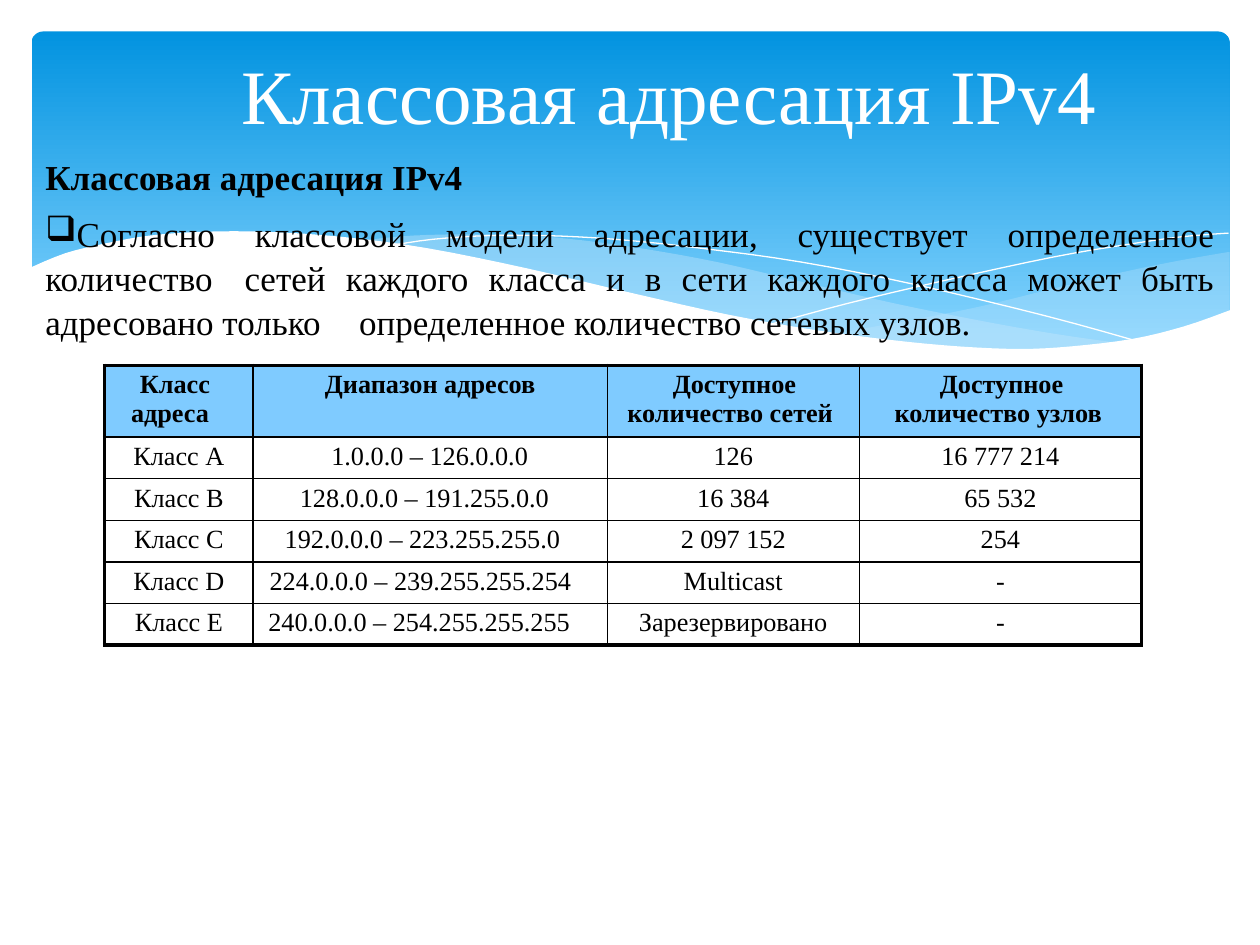
from dataclasses import dataclass
from typing import Optional

from lxml.etree import SubElement
from pptx import Presentation
from pptx.dml.color import RGBColor
from pptx.enum.shapes import MSO_SHAPE
from pptx.enum.text import MSO_ANCHOR, PP_ALIGN
from pptx.oxml.ns import qn
from pptx.util import Inches, Pt


@dataclass(frozen=True)
class Theme:
    font: str = "Times New Roman"
    black: str = "000000"
    white: str = "FFFFFF"
    sky_top: str = "0293E0"
    sky_bottom: str = "83D3FE"
    wave: str = "C6E7FC"
    header: str = "0099FF"
    title_pt: int = 44
    body_pt: int = 20
    table_pt: int = 15
    outer_pt: float = 2.25
    inner_pt: float = 1


@dataclass(frozen=True)
class Wave:
    """A smooth curve, closed through the corner points when it is filled."""
    curve: tuple
    corners: tuple = ()
    fill: Optional[str] = None
    alpha: int = 100


@dataclass(frozen=True)
class CellText:
    """Cell text: centred unless a left margin is given."""
    text: str
    left: Optional[float] = None
    first: float = 0


THEME = Theme()

WAVES = [
    Wave(((9.75, 2), (9.35, 2.07), (8.91, 2.16), (8.32, 2.3), (7.79, 2.43), (7.29, 2.53), (6.61, 2.65)),
         ((7.05, 2.71), (7.45, 2.75), (8.03, 2.78), (8.54, 2.76), (8.97, 2.7), (9.35, 2.62),
          (9.76, 2.47), (9.76, 2)), THEME.wave, 29),
    Wave(((8.93, 2.73), (8.37, 2.65), (7.75, 2.54), (7.06, 2.4), (6.29, 2.22), (5.69, 2.08), (5.14, 1.98),
          (4.64, 1.91), (4.2, 1.87), (3.8, 1.86), (3.28, 1.87), (2.86, 1.91)),
         ((3.42, 1.99), (4.04, 2.11), (4.91, 2.32), (5.66, 2.48), (6.34, 2.61), (6.95, 2.7),
          (7.48, 2.76), (8.07, 2.79), (8.57, 2.77)), THEME.wave, 40),
    Wave(((3.09, 1.95), (3.43, 1.9), (3.87, 1.87), (4.33, 1.87), (4.89, 1.9), (5.56, 1.97), (6.36, 2.08),
          (7.27, 2.26), (8.31, 2.51), (9.07, 2.72))),
    Wave(((6.13, 2.57), (6.72, 2.41), (7.48, 2.23), (8.36, 2.04), (8.95, 1.94), (9.37, 1.88), (9.75, 1.85))),
    Wave(((9.77, 2.46), (9.4, 2.59), (8.99, 2.69), (8.5, 2.75), (8.09, 2.77), (7.61, 2.75), (7.08, 2.7),
          (6.47, 2.62), (5.79, 2.5), (5.03, 2.33), (4.18, 2.13), (3.39, 1.97), (2.71, 1.88), (2.11, 1.84),
          (1.61, 1.84), (1.19, 1.87), (0.85, 1.93), (0.52, 2.01), (0.23, 2.13)),
         ((0.23, 3.29), (9.77, 3.29)), THEME.white),
]

HEADER = [CellText("Класс адреса", 0.21, 0.07), CellText("Диапазон адресов"),
          CellText("Доступное количество сетей", 0.16, 0.36),
          CellText("Доступное количество узлов", 0.28, 0.36)]
CLASSES = [
    ("А", "1.0.0.0 – 126.0.0.0", 0.62, "126", "16 777 214"),
    ("В", "128.0.0.0 – 191.255.0.0", 0.37, "16 384", "65 532"),
    ("С", "192.0.0.0 – 223.255.255.0", 0.25, "2 097 152", "254"),
    ("D", "224.0.0.0 – 239.255.255.254", 0.13, "Multicast", "-"),
    ("Е", "240.0.0.0 – 254.255.255.255", 0.12, "Зарезервировано", "-"),
]
COL_WIDTHS = (1.18, 2.81, 2, 2.24)
ROW_HEIGHTS = (0.57,) + (0.33,) * len(CLASSES)


def rgb(color: str) -> RGBColor:
    return RGBColor.from_string(color)


def set_alpha(fill_parent, percent: int) -> None:
    clr = next(fill_parent.iter(qn("a:srgbClr")))
    SubElement(clr, qn("a:alpha"), val=str(percent * 1000))


def set_indent(p, left: float, first: float = 0) -> None:
    pPr = p._p.get_or_add_pPr()
    pPr.set("marL", str(Inches(left)))
    pPr.set("indent", str(Inches(first)))


def add_run(p, text: str, size: int, color: str, bold: bool = False) -> None:
    r = p.add_run()
    r.text = text
    r.font.name = THEME.font
    r.font.size = Pt(size)
    r.font.bold = bold
    r.font.color.rgb = rgb(color)


def smooth(pts: tuple, steps: int = 4) -> list:
    """Catmull-Rom points through pts."""
    ext = (pts[0],) + pts + (pts[-1],)
    out = [pts[0]]
    for a, b, c, d in zip(ext, ext[1:], ext[2:], ext[3:]):
        for k in range(1, steps + 1):
            t = k / steps
            out.append(tuple(
                (2 * q + (s - o) * t + (2 * o - 5 * q + 4 * s - e) * t**2
                 + (3 * q - o - 3 * s + e) * t**3) / 2
                for o, q, s, e in zip(a, b, c, d)))
    return out


def draw_sky(slide) -> None:
    sp = slide.shapes.add_shape(MSO_SHAPE.ROUNDED_RECTANGLE, Inches(0.25), Inches(0.25),
                                Inches(9.51), Inches(2.7))
    sp.adjustments[0] = 0.034
    sp.shadow.inherit = False
    sp.line.fill.background()
    sp.fill.gradient()
    sp.fill.gradient_angle = 270
    for stop, pos, color in zip(sp.fill.gradient_stops, (0, 0.9), (THEME.sky_top, THEME.sky_bottom)):
        stop.position = pos
        stop.color.rgb = rgb(color)


def draw_wave(slide, wave: Wave) -> None:
    pts = [(Inches(x), Inches(y)) for x, y in smooth(wave.curve) + list(wave.corners)]
    fb = slide.shapes.build_freeform(*pts[0])
    fb.add_line_segments(pts[1:], close=wave.fill is not None)
    sp = fb.convert_to_shape()
    sp.shadow.inherit = False
    if wave.fill is None:
        sp.fill.background()
        sp.line.color.rgb = rgb(THEME.white)
        sp.line.width = Pt(0)
        return
    sp.line.fill.background()
    sp.fill.solid()
    sp.fill.fore_color.rgb = rgb(wave.fill)
    if wave.alpha < 100:
        set_alpha(sp._element.spPr, wave.alpha)


def set_insets(tf, top: float) -> None:
    tf.word_wrap = True
    tf.margin_left = tf.margin_right = tf.margin_bottom = 0
    tf.margin_top = Inches(top)


def draw_body(slide) -> None:
    tf = slide.shapes.add_textbox(Inches(0.35), Inches(1.09), Inches(9.29), Inches(1.57)).text_frame
    set_insets(tf, 0.13)
    heading, rule = tf.paragraphs[0], tf.add_paragraph()
    for p in (heading, rule):
        set_indent(p, 0.01)
        p.line_spacing = 1.05
    add_run(heading, "Классовая адресация IPv4", THEME.body_pt, THEME.black, bold=True)
    rule.alignment = PP_ALIGN.JUSTIFY
    rule.space_before = Pt(7.2)
    SubElement(rule._p.pPr, qn("a:buChar"), char="❑")
    add_run(rule, "Согласно классовой модели адресации, существует определенное количество "
            "\tсетей каждого класса и в сети каждого класса может быть адресовано только "
            "\tопределенное количество сетевых узлов.", THEME.body_pt, THEME.black)


def draw_title(slide) -> None:
    sp = slide.shapes.title
    sp.left, sp.top, sp.width, sp.height = Inches(0.49), Inches(0.36), Inches(9), Inches(0.75)
    tf = sp.text_frame
    set_insets(tf, 0.01)
    tf.vertical_anchor = MSO_ANCHOR.MIDDLE
    p = tf.paragraphs[0]
    p.alignment = PP_ALIGN.CENTER
    set_indent(p, 0.64)
    add_run(p, "Классовая адресация IPv4", THEME.title_pt, THEME.white)
    slide.shapes._spTree.append(sp._element)  # in front of the waves


def set_borders(cell, outer: dict) -> None:
    """Draw all four sides, thicker where outer[side] is true."""
    tcPr = cell._tc.get_or_add_tcPr()
    for i, (side, thick) in enumerate(outer.items()):
        width = THEME.outer_pt if thick else THEME.inner_pt
        ln = tcPr.makeelement(qn(f"a:ln{side}"), {"w": str(Pt(width))})
        SubElement(SubElement(ln, qn("a:solidFill")), qn("a:srgbClr"), val=THEME.black)
        tcPr.insert(i, ln)


def fill_cell(cell, content: CellText, is_header: bool) -> None:
    cell.margin_left = cell.margin_right = cell.margin_bottom = 0
    cell.margin_top = Inches(0.04)
    p = cell.text_frame.paragraphs[0]
    if content.left is None:
        p.alignment = PP_ALIGN.CENTER
    else:
        set_indent(p, content.left, content.first)
    add_run(p, content.text, THEME.table_pt, THEME.black, is_header)
    if is_header:
        cell.fill.solid()
        cell.fill.fore_color.rgb = rgb(THEME.header)
        set_alpha(cell._tc.tcPr, 50)
    else:
        cell.fill.background()


def draw_table(slide) -> None:
    rows = [HEADER] + [[CellText(f"Класс {name}"), CellText(span, left), CellText(nets), CellText(hosts)]
                       for name, span, left, nets, hosts in CLASSES]
    last_row, last_col = len(rows) - 1, len(COL_WIDTHS) - 1
    table = slide.shapes.add_table(len(rows), len(COL_WIDTHS), Inches(0.83), Inches(2.9),
                                   Inches(sum(COL_WIDTHS)), Inches(sum(ROW_HEIGHTS))).table
    table.first_row = table.horz_banding = False
    for col, width in zip(table.columns, COL_WIDTHS):
        col.width = Inches(width)
    for i, (row, height) in enumerate(zip(rows, ROW_HEIGHTS)):
        table.rows[i].height = Inches(height)
        for j, content in enumerate(row):
            cell = table.cell(i, j)
            fill_cell(cell, content, i == 0)
            set_borders(cell, {"L": j == 0, "R": j == last_col, "T": i == 0, "B": i == last_row})


def main() -> None:
    prs = Presentation()
    prs.slide_width, prs.slide_height = Inches(10), Inches(7.5)
    slide = prs.slides.add_slide(prs.slide_layouts[5])
    draw_sky(slide)
    for wave in WAVES:
        draw_wave(slide, wave)
    draw_body(slide)
    draw_title(slide)
    draw_table(slide)
    prs.save("out.pptx")


if __name__ == "__main__":
    main()
